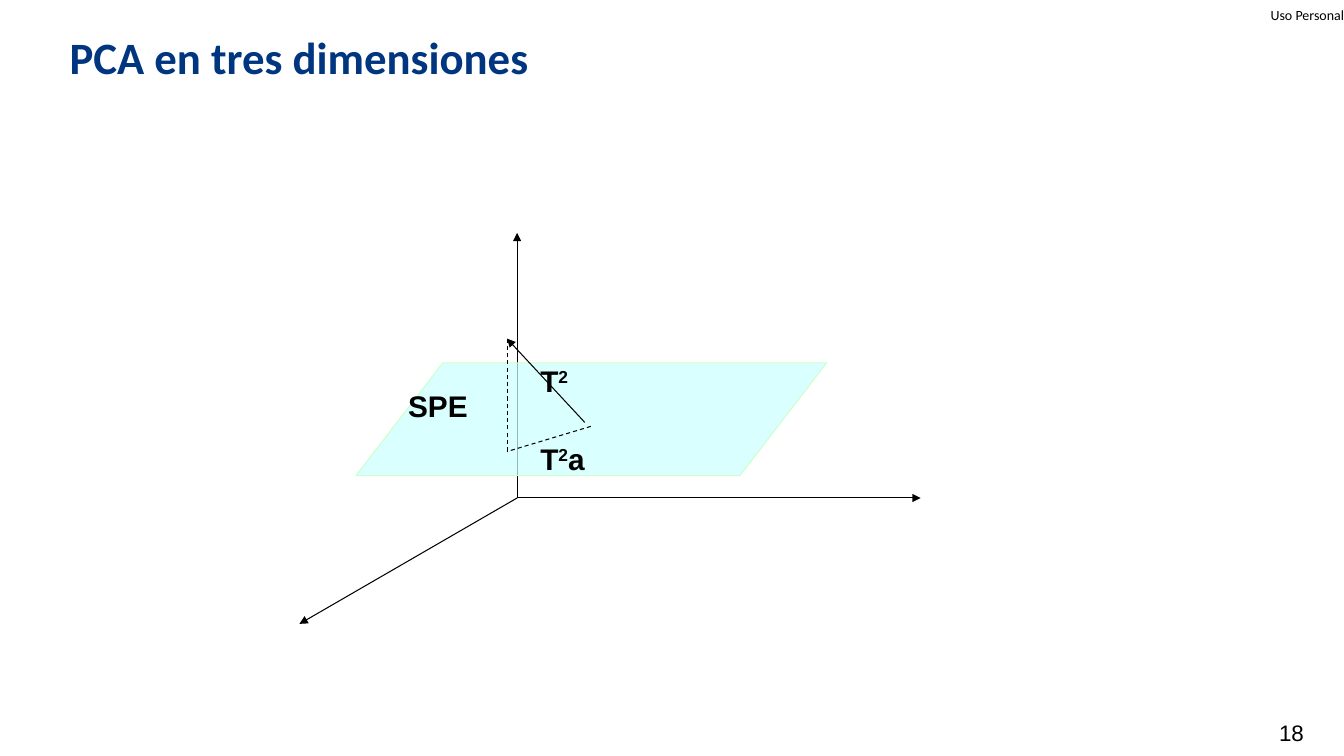
from pptx import Presentation
from pptx.dml.color import RGBColor
from pptx.enum.dml import MSO_LINE_DASH_STYLE as DASH
from pptx.enum.shapes import MSO_CONNECTOR as CON, MSO_SHAPE as SHAPE
from pptx.enum.text import MSO_ANCHOR as ANC, PP_ALIGN as AL
from pptx.oxml.ns import qn
from pptx.util import Inches, Pt
from lxml.etree import SubElement as sub

WIDE, HIGH = Inches(13.33), Inches(7.5)
HUES = {"ink": "000000", "title": "003580", "plane": "CCFFFF", "edge": "CCFFCC"}


def hue(name):
    """Return the named colour."""
    return RGBColor.from_string(HUES[name])


def place(*nums):
    """Turn percent shares, across and down in turn, into lengths."""
    return [int(n * (HIGH if i % 2 else WIDE) / 100) for i, n in enumerate(nums)]


def add_line(slide, start, end, arrow=False, dash=False):
    """Draw a thin line, with an arrowhead at its end or dashes on request."""
    line = slide.shapes.add_connector(CON.STRAIGHT, *place(*start, *end))
    line.line.color.rgb = hue("ink")
    line.line.width = Pt(0.75)
    if dash:
        line.line.dash_style = DASH.DASH
    if arrow:
        sub(line.line._get_or_add_ln(), qn("a:tailEnd"), type="triangle")
    sub(line._element.spPr, qn("a:effectLst"))


def add_plane(slide, box, slant, alpha):
    """Draw the see-through plane of the main components."""
    plane = slide.shapes.add_shape(SHAPE.PARALLELOGRAM, *place(*box))
    plane.shadow.inherit = False
    plane.adjustments[0] = slant
    plane.fill.solid()
    plane.fill.fore_color.rgb = hue("plane")
    tint = plane._element.spPr.find(qn("a:solidFill"))[0]
    sub(tint, qn("a:alpha"), val=str(alpha * 1000))
    plane.line.color.rgb = hue("edge")
    plane.line.width = Pt(0.75)


def add_text(slide, box, runs, size, font="Arial", bold=False, tone="ink",
             align=AL.LEFT, anchor=ANC.TOP, pad=True, space=1.0):
    """Write one paragraph from runs; a run that starts with ^ is raised."""
    frame = slide.shapes.add_textbox(*place(*box)).text_frame
    frame.word_wrap = True
    frame.vertical_anchor = anchor
    if not pad:
        frame.margin_left = frame.margin_right = 0
        frame.margin_top = frame.margin_bottom = 0
    para = frame.paragraphs[0]
    para.alignment = align
    para.line_spacing = space
    for text in runs:
        run = para.add_run()
        run.text = text.lstrip("^")
        run.font.size, run.font.name, run.font.bold = Pt(size), font, bold
        run.font.color.rgb = hue(tone)
        if text.startswith("^"):
            run.font._element.set("baseline", "30000")


def main():
    """Build the slide and save it."""
    deck = Presentation()
    deck.slide_width, deck.slide_height = WIDE, HIGH
    slide = deck.slides.add_slide(deck.slide_layouts[6])

    add_text(slide, (92.2, 0, 7.8, 3.87), ["Uso Personal"], 10, "Calibri",
             align=AL.RIGHT, anchor=ANC.MIDDLE, pad=False)
    add_text(slide, (94.15, 95.6, 3.6, 2.67), ["18"], 16,
             align=AL.RIGHT, anchor=ANC.MIDDLE)

    zero = (38.48, 65.87)
    add_line(slide, zero, (zero[0], 30.8), arrow=True)
    add_plane(slide, (26.48, 48, 35.03, 14.93), 0.77, 72)
    for tip in ((68.5, zero[1]), (22.28, 82.53)):
        add_line(slide, zero, tip, arrow=True)

    point, foot = (37.73, 44.8), (37.73, 59.73)
    add_line(slide, (43.51, 55.87), point, arrow=True)
    for start in (point, (43.96, 56.4)):
        add_line(slide, start, foot, dash=True)

    for left, top, runs in ((39.46, 57.6, ["T", "^2", "a"]),
                            (39.46, 47.33, ["T", "^2"]),
                            (29.63, 50.67, ["SPE"])):
        add_text(slide, (left, top, 8.03, 6.13), runs, 21.3, bold=True)

    add_text(slide, (5.18, 4.67, 79.97, 6.4), ["PCA en tres dimensiones"], 32,
             "Calibri", bold=True, tone="title", anchor=ANC.MIDDLE,
             pad=False, space=0.9)
    deck.save("out.pptx")


main()
